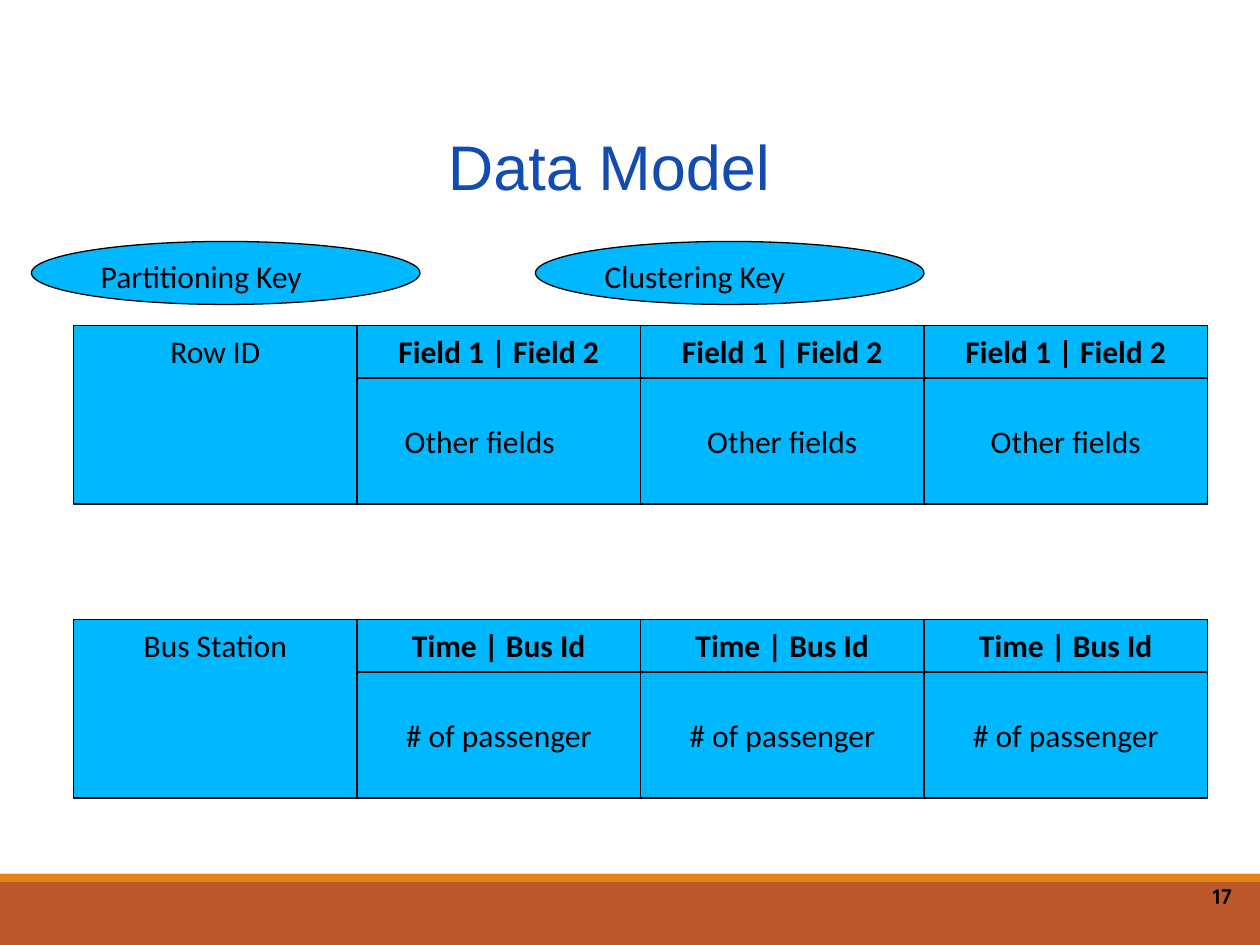
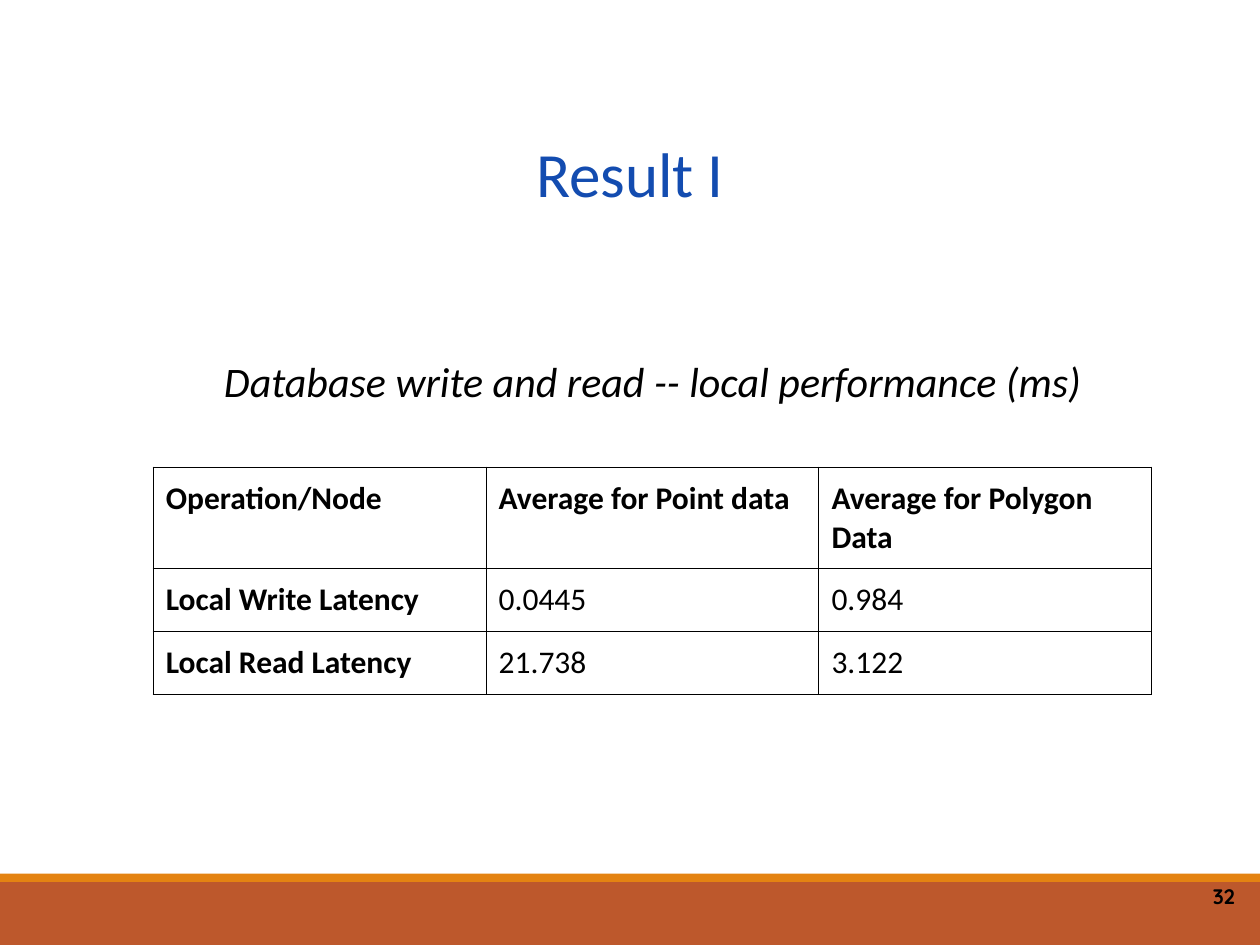
from dataclasses import dataclass

from lxml import etree
from pptx import Presentation
from pptx.dml.color import RGBColor
from pptx.enum.shapes import MSO_SHAPE
from pptx.enum.text import MSO_ANCHOR, PP_ALIGN
from pptx.oxml.ns import qn
from pptx.shapes.autoshape import Shape
from pptx.slide import Slide
from pptx.table import _Cell
from pptx.text.text import TextFrame
from pptx.util import Emu, Pt

RECT, OVAL = MSO_SHAPE.RECTANGLE, MSO_SHAPE.OVAL
LEFT, CENTER = PP_ALIGN.LEFT, PP_ALIGN.CENTER
TOP, MIDDLE, BOTTOM = MSO_ANCHOR.TOP, MSO_ANCHOR.MIDDLE, MSO_ANCHOR.BOTTOM

EMU_PER_PX = 7620  # 120 px to the inch
SLIDE_W, SLIDE_H = 1200, 900
COLORS = {
    "title": "134CB0",
    "text": "000000",
    "line": "000000",
    "cell": "00B8FF",
    "band": "BD582C",
    "stripe": "E48312",
}
LINE_WIDTH = Pt(0.75)


@dataclass(frozen=True)
class Box:
    left: int
    top: int
    width: int
    height: int

    def emu(self) -> list[Emu]:
        return [px(n) for n in (self.left, self.top, self.width, self.height)]


@dataclass(frozen=True)
class TextStyle:
    size: int = 18
    font: str = "Calibri"
    color: str = "text"
    bold: bool = False
    italic: bool = False
    align: PP_ALIGN = CENTER
    anchor: MSO_ANCHOR = TOP
    insets: tuple[int, int, int, int] = (12, 6, 12, 6)
    line_spacing: float | Pt | None = None


@dataclass(frozen=True)
class WideRow:
    """One partition: a row key followed by clustered columns."""
    top: int
    row_key: str
    cluster_key: str
    value: str
    first_right_inset: int = 12


KEY_STYLE = TextStyle()
CLUSTER_STYLE = TextStyle(bold=True)
LABEL_STYLE = TextStyle(align=LEFT)
NUMBER_STYLE = TextStyle(12, "Quicksand", bold=True, align=LEFT,
                         anchor=MIDDLE, insets=(4, 6, 6, 6))
CAPTION_STYLE = TextStyle(24, italic=True, anchor=MIDDLE, insets=(12,) * 4)


def px(length: int) -> Emu:
    return Emu(length * EMU_PER_PX)


def rgb(name: str) -> RGBColor:
    return RGBColor.from_string(COLORS[name])


def write(frame: TextFrame, text: str, style: TextStyle) -> None:
    frame.text = text
    paragraph = frame.paragraphs[0]
    paragraph.alignment = style.align
    if style.line_spacing:
        paragraph.line_spacing = style.line_spacing
    font = paragraph.font
    font.name, font.size = style.font, Pt(style.size)
    font.bold, font.italic = style.bold, style.italic
    font.color.rgb = rgb(style.color)


def set_insets(target: TextFrame | _Cell, insets: tuple[int, int, int, int]) -> None:
    (target.margin_left, target.margin_top,
     target.margin_right, target.margin_bottom) = map(px, insets)


def fill_frame(shape: Shape, text: str, style: TextStyle) -> None:
    frame = shape.text_frame
    frame.word_wrap = True
    frame.vertical_anchor = style.anchor
    set_insets(frame, style.insets)
    write(frame, text, style)


def add_text(slide: Slide, box: Box, text: str, style: TextStyle) -> None:
    fill_frame(slide.shapes.add_textbox(*box.emu()), text, style)


def add_filled(slide: Slide, kind: MSO_SHAPE, box: Box, fill: str) -> Shape:
    shape = slide.shapes.add_shape(kind, *box.emu())
    shape.shadow.inherit = False
    shape.fill.solid()
    shape.fill.fore_color.rgb = rgb(fill)
    shape.line.fill.background()
    return shape


def add_cell(slide: Slide, kind: MSO_SHAPE, box: Box, text: str,
             style: TextStyle) -> None:
    cell = add_filled(slide, kind, box, "cell")
    cell.line.color.rgb = rgb("line")
    cell.line.width = LINE_WIDTH
    fill_frame(cell, text, style)


def add_base_slide(deck: Presentation, title: str, title_box: Box,
                   title_style: TextStyle, number: int) -> Slide:
    slide = deck.slides.add_slide(deck.slide_layouts[6])
    add_filled(slide, RECT, Box(0, 840, SLIDE_W, 60), "band")
    add_filled(slide, RECT, Box(0, 832, SLIDE_W, 8), "stripe")
    add_text(slide, title_box, title, title_style)
    add_text(slide, Box(1151, 827, 40, 53), str(number), NUMBER_STYLE)
    return slide


def title_style(font: str, line_spacing: float | Pt) -> TextStyle:
    return TextStyle(36, font, "title", anchor=BOTTOM, line_spacing=line_spacing)


def add_wide_row(slide: Slide, row: WideRow) -> None:
    left, width, key_height, value_height = 70, 270, 50, 120
    add_cell(slide, RECT, Box(left, row.top, width, key_height + value_height),
             row.row_key, KEY_STYLE)
    for column in range(1, 4):
        x = left + column * width
        add_cell(slide, RECT, Box(x, row.top, width, key_height),
                 row.cluster_key, CLUSTER_STYLE)
        right = row.first_right_inset if column == 1 else 12
        add_cell(slide, RECT, Box(x, row.top + key_height, width, value_height),
                 row.value, TextStyle(anchor=MIDDLE, insets=(12, 6, right, 6)))


def add_borders(cell: _Cell) -> None:
    properties = cell._tc.get_or_add_tcPr()
    for position, side in enumerate(("lnL", "lnR", "lnT", "lnB")):
        border = etree.Element(qn(f"a:{side}"), w=str(LINE_WIDTH))
        fill = etree.SubElement(border, qn("a:solidFill"))
        etree.SubElement(fill, qn("a:srgbClr"), val=COLORS["line"])
        properties.insert(position, border)


def add_latency_table(slide: Slide, left: int, top: int, column_width: int,
                      row_heights: list[int], rows: list[list[str]]) -> None:
    columns = len(rows[0])
    box = Box(left, top, column_width * columns, sum(row_heights))
    table = slide.shapes.add_table(len(rows), columns, *box.emu()).table
    table.first_row = table.horz_banding = False
    for column in table.columns:
        column.width = px(column_width)
    for r, (height, values) in enumerate(zip(row_heights, rows)):
        table.rows[r].height = px(height)
        for c, value in enumerate(values):
            cell = table.cell(r, c)
            cell.fill.background()
            cell.vertical_anchor = TOP
            set_insets(cell, (12,) * 4)
            is_heading = r == 0 or c == 0
            write(cell.text_frame, value, TextStyle(bold=is_heading, align=LEFT))
            add_borders(cell)


def build_data_model(deck: Presentation) -> None:
    slide = add_base_slide(deck, "Data Model", Box(40, 90, 1080, 109),
                           title_style("Arial", Pt(57.8)), 17)
    for left, label in ((30, "Partitioning Key"), (510, "Clustering Key")):
        add_cell(slide, OVAL, Box(left, 230, 370, 60), label, LABEL_STYLE)
    for row in (
        WideRow(310, "Row ID", "Field 1 | Field 2", "Other fields",
                first_right_inset=48),
        WideRow(590, "Bus Station", "Time | Bus Id", "# of passenger"),
    ):
        add_wide_row(slide, row)


def build_result(deck: Presentation) -> None:
    slide = add_base_slide(deck, "Result I", Box(60, 97, 1080, 109),
                           title_style("Calibri", 1.58), 32)
    add_latency_table(slide, 146, 445, 317, [96, 60, 60], [
        ["Operation/Node", "Average for Point data", "Average for Polygon Data"],
        ["Local Write Latency", "0.0445", "0.984"],
        ["Local Read Latency", "21.738", "3.122"],
    ])
    add_text(slide, Box(146, 330, 951, 66),
             "Database write and read -- local performance (ms)", CAPTION_STYLE)


def main() -> None:
    deck = Presentation()
    deck.slide_width, deck.slide_height = px(SLIDE_W), px(SLIDE_H)
    build_data_model(deck)
    build_result(deck)
    deck.save("out.pptx")


if __name__ == "__main__":
    main()
